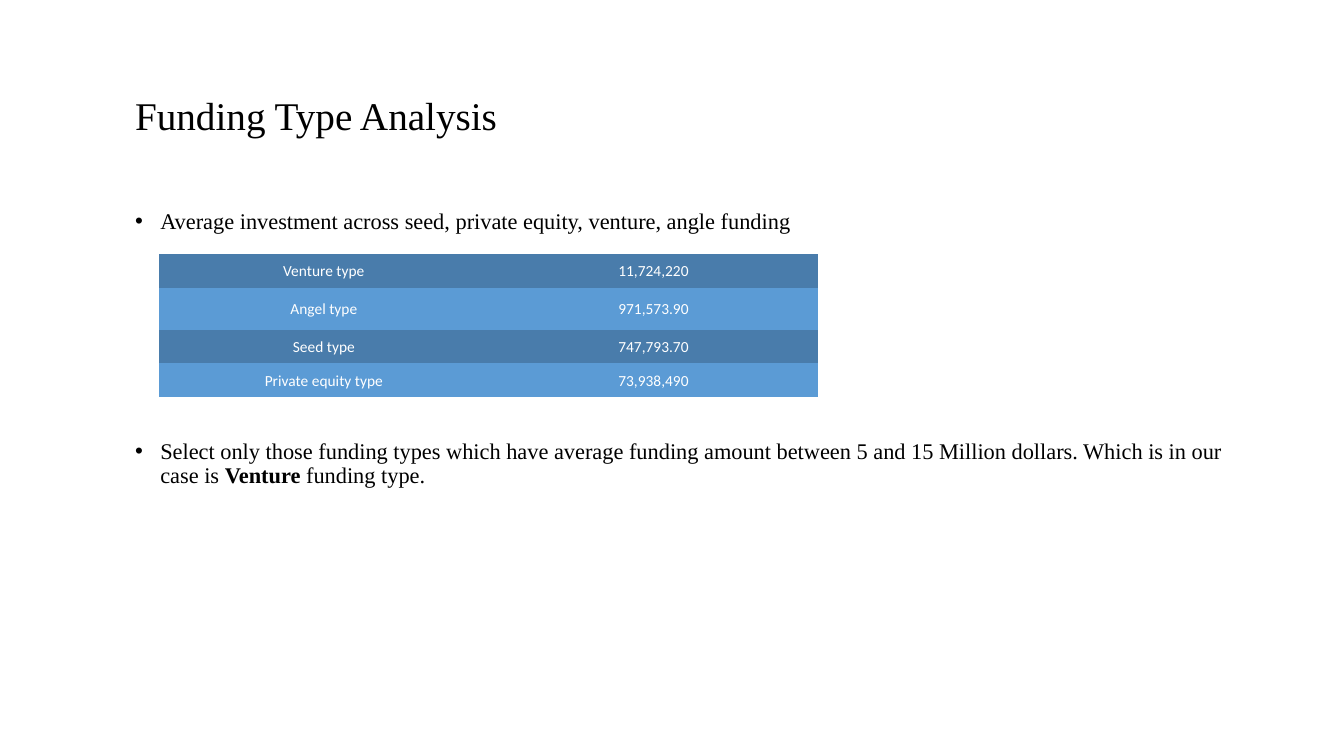
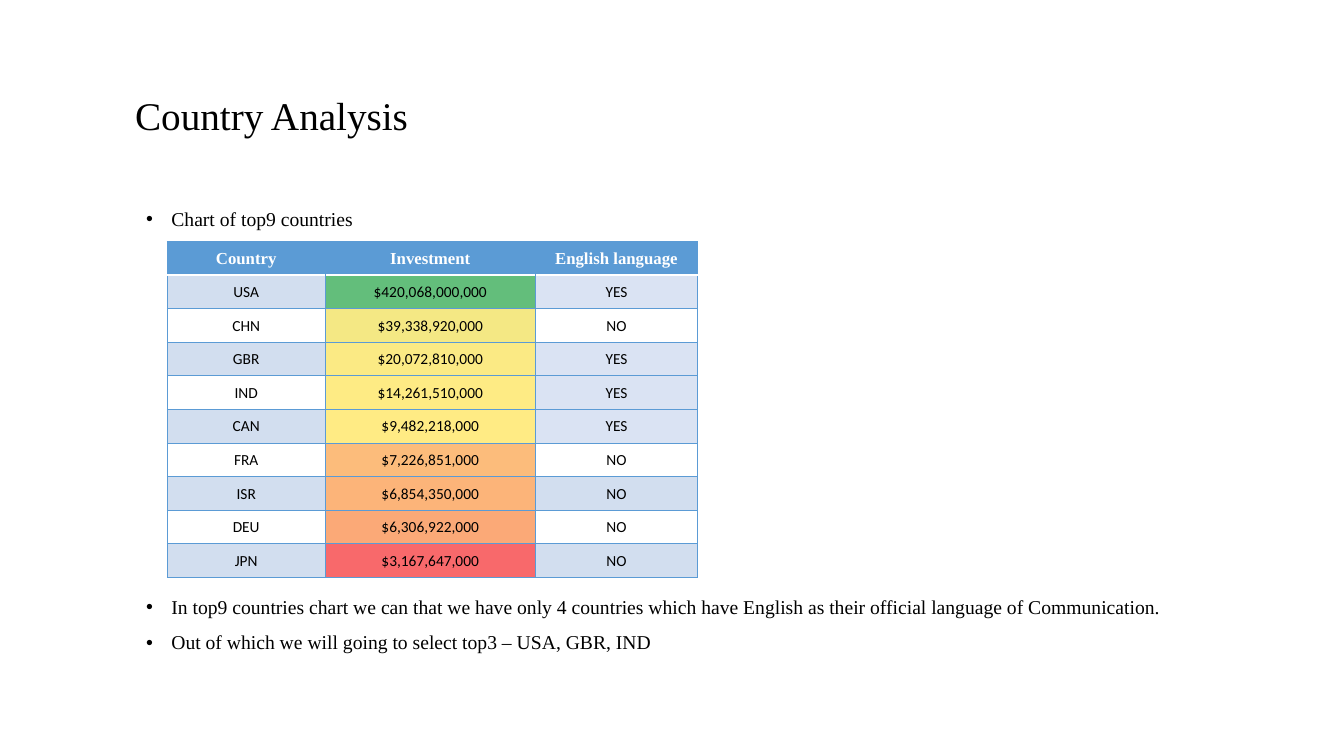
from lxml import etree
from pptx import Presentation
from pptx.dml.color import RGBColor
from pptx.enum.text import MSO_ANCHOR, MSO_AUTO_SIZE, PP_ALIGN
from pptx.oxml.ns import qn
from pptx.util import Pt

LEFT, CENTER = PP_ALIGN.LEFT, PP_ALIGN.CENTER
TOP, MIDDLE = MSO_ANCHOR.TOP, MSO_ANCHOR.MIDDLE
NO_AUTOFIT = MSO_AUTO_SIZE.NONE

SERIF, SANS = "Times New Roman", "Calibri"
BLACK, WHITE = "000000", "FFFFFF"
BLUE, DARK_BLUE = "5B9BD5", "497CAB"
BAND, YES_BLUE = "D2DEEF", "DAE3F3"
PLAIN_TABLE = "{2D5ABB26-0587-4C30-8999-92F81FD0307C}"
GRID_LINE, HEADER_LINE = (BLUE, 0.5), (WHITE, 1)


def color(hex_text):
    return RGBColor.from_string(hex_text)


def set_values(target, values):
    for name, value in values.items():
        setattr(target, name, value)


class Deck:
    """Holds the shared style and the current slide."""

    title_box = (89.3, 50.4, 733.7, 67.7)
    body_top, body_height, right_edge = 146.2, 342, 910.8
    bullet_indent = 18
    paragraph_format = {"alignment": LEFT, "line_spacing": 0.9}
    cell_format = {"vertical_anchor": MIDDLE, "margin_left": Pt(0.75),
                   "margin_right": Pt(0.75), "margin_top": Pt(0.75), "margin_bottom": 0}

    def __init__(self):
        self.presentation = Presentation()
        set_values(self.presentation, {"slide_width": Pt(960), "slide_height": Pt(540)})
        self.slide = None

    def add_slide(self, title):
        layout = self.presentation.slide_layouts[1]
        self.slide = self.presentation.slides.add_slide(layout)
        frame = self.place(self.slide.shapes.title, self.title_box, MIDDLE)
        paragraph = frame.paragraphs[0]
        set_values(paragraph, self.paragraph_format)
        self.add_run(paragraph, title, 28)

    def place(self, shape, box, anchor):
        set_values(shape, dict(zip(("left", "top", "width", "height"), map(Pt, box))))
        frame = shape.text_frame
        set_values(frame, {"word_wrap": True, "auto_size": NO_AUTOFIT,
                           "vertical_anchor": anchor})
        return frame

    def add_run(self, paragraph, text, size, font=SERIF, ink=BLACK, bold=False):
        run = paragraph.add_run()
        run.text = text
        set_values(run.font, {"name": font, "size": Pt(size), "bold": bold})
        run.font.color.rgb = color(ink)

    def add_bullets(self, left, size, bullets):
        """Each bullet is (space before, [(text, bold), ...])."""
        box = (left, self.body_top, self.right_edge - left, self.body_height)
        frame = self.place(self.slide.placeholders[1], box, TOP)
        for index, (space, runs) in enumerate(bullets):
            paragraph = frame.add_paragraph() if index else frame.paragraphs[0]
            set_values(paragraph, {**self.paragraph_format, "space_before": Pt(space)})
            properties = paragraph._p.get_or_add_pPr()
            properties.set("marL", str(Pt(self.bullet_indent)))
            properties.set("indent", str(-Pt(self.bullet_indent)))
            etree.SubElement(properties, qn("a:buFont")).set("typeface", "Arial")
            etree.SubElement(properties, qn("a:buChar")).set("char", "•")
            for text, bold in runs:
                self.add_run(paragraph, text, size, bold=bold)

    def add_table(self, left, top, widths, heights):
        frame = self.slide.shapes.add_table(
            len(heights), len(widths), Pt(left), Pt(top), Pt(sum(widths)), Pt(sum(heights)))
        table = frame.table
        set_values(table, {"first_row": False, "horz_banding": False})
        table._tbl.tblPr.find(qn("a:tableStyleId")).text = PLAIN_TABLE
        for column, width in zip(table.columns, widths):
            column.width = Pt(width)
        for row, height in zip(table.rows, heights):
            row.height = Pt(height)
        return table

    def fill_cell(self, cell, text, fill, borders=None, **font_style):
        set_values(cell, self.cell_format)
        paragraph = cell.text_frame.paragraphs[0]
        paragraph.alignment = CENTER
        self.add_run(paragraph, text, **font_style)
        # Borders come before the fill in the cell's XML
        properties = cell._tc.get_or_add_tcPr()
        for side in "LRTB":
            if side in (borders or {}):
                ink, width = borders[side]
                line = etree.SubElement(properties, qn(f"a:ln{side}"), w=str(Pt(width)))
                solid = etree.SubElement(line, qn("a:solidFill"))
                etree.SubElement(solid, qn("a:srgbClr"), val=ink)
        if fill:
            cell.fill.solid()
            cell.fill.fore_color.rgb = color(fill)
        else:
            cell.fill.background()


FUNDING = [
    ("Venture type", "11,724,220"),
    ("Angel type", "971,573.90"),
    ("Seed type", "747,793.70"),
    ("Private equity type", "73,938,490"),
]
HEADERS = ("Country", "Investment", "English language")
COUNTRIES = [
    ("USA", "$420,068,000,000", "YES", "63BE7B"),
    ("CHN", "$39,338,920,000", "NO", "F4E884"),
    ("GBR", "$20,072,810,000", "YES", "FBEA84"),
    ("IND", "$14,261,510,000", "YES", "FEEB84"),
    ("CAN", "$9,482,218,000", "YES", "FFEB84"),
    ("FRA", "$7,226,851,000", "NO", "FCBC7B"),
    ("ISR", "$6,854,350,000", "NO", "FCB479"),
    ("DEU", "$6,306,922,000", "NO", "FBA977"),
    ("JPN", "$3,167,647,000", "NO", "F8696B"),
]


def build_funding(deck):
    deck.add_slide("Funding Type Analysis")
    deck.add_bullets(89.3, 16, [
        (10, [("Average investment across seed, private equity, venture, angle funding", False)]),
        (147, [("Select only those funding types which have average funding amount between "
                "5 and 15 Million dollars. Which is in our case is ", False),
               ("Venture ", True), ("funding type.", False)]),
    ])
    table = deck.add_table(113.6, 181.4, (235.5, 235.5), (24.1, 30, 24.1, 24.1))
    for row, values in enumerate(FUNDING):
        for column, text in enumerate(values):
            deck.fill_cell(table.cell(row, column), text, BLUE if row % 2 else DARK_BLUE,
                           size=11, font=SANS, ink=WHITE)


def build_countries(deck):
    deck.add_slide("Country Analysis")
    deck.add_bullets(97.2, 14, [
        (10, [("Chart of top9 countries", False)]),
        (262, [("In top9 countries chart we can that we have only 4 countries which have "
                "English as their official language of Communication.", False)]),
        (10, [("Out of which we will going to select top3 – USA, GBR, IND", False)]),
    ])
    table = deck.add_table(119.4, 172.5, (113, 150, 116), [24] * (len(COUNTRIES) + 1))
    # Header row: outer lines only, white line below
    for column, text in enumerate(HEADERS):
        borders = {"T": GRID_LINE, "B": HEADER_LINE}
        if column == 0:
            borders["L"] = GRID_LINE
        if column == len(HEADERS) - 1:
            borders["R"] = GRID_LINE
        deck.fill_cell(table.cell(0, column), text, BLUE, borders,
                       size=12, ink=WHITE, bold=True)
    # Country rows: banded, with a colour scale for the investment
    for row, (country, investment, english, scale) in enumerate(COUNTRIES, 1):
        band = BAND if row % 2 else None
        fills = (band, scale, YES_BLUE if english == "YES" else band)
        borders = {**dict.fromkeys("LRB", GRID_LINE),
                   "T": HEADER_LINE if row == 1 else GRID_LINE}
        for column, text in enumerate((country, investment, english)):
            deck.fill_cell(table.cell(row, column), text, fills[column], borders,
                           size=11, font=SANS)


def main():
    deck = Deck()
    build_funding(deck)
    build_countries(deck)
    deck.presentation.save("out.pptx")


if __name__ == "__main__":
    main()
